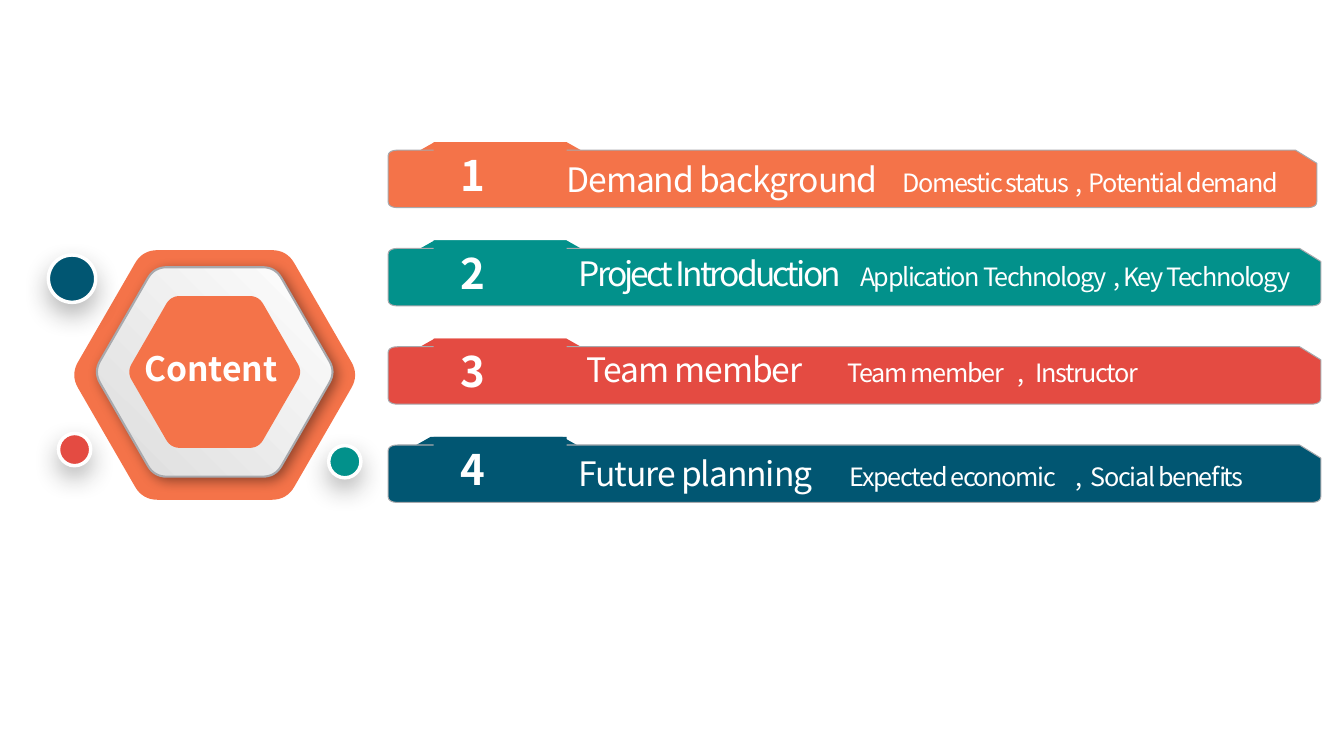
"""Build a contents slide with a hexagon badge and four numbered bars."""
from dataclasses import dataclass
from math import cos, pi, sin

from lxml import etree
from pptx import Presentation
from pptx import util as u
from pptx.dml.color import RGBColor
from pptx.enum import shapes, text
from pptx.oxml.ns import qn

ORANGE = RGBColor(0xF4, 0x73, 0x49)
TEAL = RGBColor(0x02, 0x91, 0x8B)
RED = RGBColor(0xE4, 0x4B, 0x42)
NAVY = RGBColor(0x01, 0x56, 0x72)
WHITE = RGBColor(0xFF, 0xFF, 0xFF)
SILVER = RGBColor(0xDC, 0xDC, 0xDC)
GREY = RGBColor(0xA8, 0xA9, 0xAD)
FONT = "Noto Sans CJK SC"
Point = tuple[float, float]


@dataclass
class Row:
    color: RGBColor
    title: str
    topics: tuple[str, str]
    left: float
    top: float
    stops: tuple[float, float, float]
    right: float = 13.1
    flap: float = 4.15
    pitch: float = -0.8


@dataclass
class Dot:
    color: RGBColor
    left: float
    top: float
    size: float


ROWS = [
    Row(ORANGE, "Demand background", ("Domestic status", "Potential demand"),
        5.55, 1.54, (8.95, 10.67, 10.8), right=13.06),
    Row(TEAL, "Project Introduction", ("Application Technology", "Key Technology"),
        5.67, 2.47, (8.53, 11.04, 11.14), pitch=-2),
    Row(RED, "Team member", ("Team member", "Instructor"),
        5.75, 3.42, (8.41, 10.09, 10.27)),
    Row(NAVY, "Future planning", ("Expected economic", "Social benefits"),
        5.67, 4.45, (8.43, 10.67, 10.82), flap=4.11),
]
DOTS = [Dot(RED, 0.58, 4.3, 0.32), Dot(TEAL, 3.26, 4.42, 0.32),
        Dot(NAVY, 0.48, 2.53, 0.47)]


def paint(shape, fill: RGBColor, line: RGBColor | None = None, width: float = 0):
    """Give a shape a flat fill and an optional outline."""
    shape.shadow.inherit = False
    shape.fill.solid()
    shape.fill.fore_color.rgb = fill
    if line is None:
        shape.line.fill.background()
    else:
        shape.line.color.rgb = line
        shape.line.width = u.Pt(width)
    return shape


def shade(shape, color: str, alpha: int, blur: float, dist: float, angle: int) -> None:
    """Add an outer shadow to a painted shape."""
    glow = shape._element.spPr.find(qn("a:effectLst"))
    outer = etree.SubElement(glow, qn("a:outerShdw"), blurRad=str(u.Pt(blur)),
                             dist=str(u.Pt(dist)), dir=str(angle * 60000),
                             algn="ctr", rotWithShape="0")
    tint = etree.SubElement(outer, qn("a:srgbClr"), val=color)
    etree.SubElement(tint, qn("a:alpha"), val=str(alpha * 1000))


def write(pen, box: tuple[float, float, float, float], *runs: tuple[str, float, float],
          bold: bool = False, inset: tuple[float, float] = (0.07, 0.04),
          stops: tuple[float, ...] = ()) -> None:
    """Add a text box whose runs are text, size and letter spacing."""
    frame = pen.add_textbox(*map(u.Inches, box)).text_frame
    frame.word_wrap = True
    frame.auto_size = text.MSO_AUTO_SIZE.SHAPE_TO_FIT_TEXT
    frame.margin_left = frame.margin_right = u.Inches(inset[0])
    frame.margin_top = frame.margin_bottom = u.Inches(inset[1])
    para = frame.paragraphs[0]
    if stops:
        tabs = etree.SubElement(para._p.get_or_add_pPr(), qn("a:tabLst"))
        for stop in stops:
            gap = u.Inches(stop - box[0] - inset[0])
            etree.SubElement(tabs, qn("a:tab"), pos=str(gap), algn="l")
    for words, size, pitch in runs:
        run = para.add_run()
        run.text = words
        run.font.name = FONT
        run.font.size = u.Pt(size)
        run.font.bold = bold
        run.font.color.rgb = WHITE
        if pitch:
            run._r.get_or_add_rPr().set("spc", str(round(pitch * 100)))


def bend(start: Point, tip: Point, end: Point, steps: int = 8) -> list[Point]:
    """Return points along a rounded corner."""
    ways = [n / steps for n in range(steps + 1)]
    return [tuple((1 - t) ** 2 * a + 2 * t * (1 - t) * b + t * t * c
                  for a, b, c in zip(start, tip, end)) for t in ways]


def trace(pen, points: list[Point]):
    """Draw a closed outline through points given in inches."""
    spots = [(u.Inches(x), u.Inches(y)) for x, y in points]
    outline = pen.build_freeform(*spots[0], scale=1.0)
    outline.add_line_segments(spots[1:], close=True)
    return outline.convert_to_shape()


def hexa(pen, mid: Point, size: float):
    """Draw a regular hexagon with rounded corners."""
    tips = [(mid[0] + size * cos(n * pi / 3), mid[1] + size * sin(n * pi / 3))
            for n in range(6)]
    points = []
    for n, tip in enumerate(tips):
        ends = [tuple(a + 0.105 * (b - a) for a, b in zip(tip, near))
                for near in (tips[n - 1], tips[(n + 1) % 6])]
        points += bend(ends[0], tip, ends[1])
    return trace(pen, points)


def draw_row(pen, num: int, row: Row) -> None:
    """Draw one numbered bar with its raised flap and label."""
    top = 1.41 + 0.975 * (num - 1)
    flap, left, right = row.flap, 3.85, row.right
    high, low = top + 0.08, top + 0.65
    paint(trace(pen, [(flap + 0.16, top), (flap + 1.47, top),
                      (flap + 1.63, top + 0.09), (flap, top + 0.09)]), row.color)
    bar = [(right - 0.21, high), (right, high + 0.13),
           *bend((right, low - 0.06), (right, low), (right - 0.1, low)),
           *bend((left + 0.1, low), (left, low), (left, low - 0.06)),
           *bend((left, high + 0.06), (left, high), (left + 0.1, high))]
    paint(trace(pen, bar), row.color, GREY)
    block = map(u.Inches, (4.3, top, 1.32, 0.61))
    paint(pen.add_shape(shapes.MSO_SHAPE.RECTANGLE, *block), row.color)
    write(pen, (row.left, row.top, 7.6, 0.48), (row.title, 24, row.pitch),
          ("\t" + "\t,\t".join(row.topics), 18, -1), stops=row.stops)
    write(pen, (4.5, top + 0.03, 0.41, 0.58), (str(num), 30, 0), bold=True)


def draw_badge(pen) -> None:
    """Draw the layered hexagon, its dots and its caption."""
    paint(hexa(pen, (2.13, 3.72), 1.43), ORANGE)
    ring = paint(hexa(pen, (2.13, 3.69), 1.2), WHITE, GREY, 1.5)
    ring.fill.gradient()
    ring.fill.gradient_angle = 225
    for stop, color in zip(ring.fill.gradient_stops, (WHITE, SILVER)):
        stop.color.rgb = color
    shade(ring, "000000", 40, 9, 3, 45)
    paint(hexa(pen, (2.13, 3.69), 0.87), ORANGE)
    for dot in DOTS:
        place = map(u.Inches, (dot.left, dot.top, dot.size, dot.size))
        ball = pen.add_shape(shapes.MSO_SHAPE.OVAL, *place)
        shade(paint(ball, dot.color, WHITE, 2.5), "262626", 33, 18, 8, 90)
    write(pen, (1.33, 3.4, 1.55, 0.5), ("Content", 24, 0), bold=True, inset=(0.1, 0.05))


def main() -> None:
    """Build and save the slide."""
    deck = Presentation()
    deck.slide_width, deck.slide_height = u.Inches(13.33), u.Inches(7.5)
    slide = deck.slides.add_slide(deck.slide_layouts[6])
    for num, row in enumerate(ROWS, 1):
        draw_row(slide.shapes.add_group_shape().shapes, num, row)
    draw_badge(slide.shapes)
    deck.save("out.pptx")


if __name__ == "__main__":
    main()
